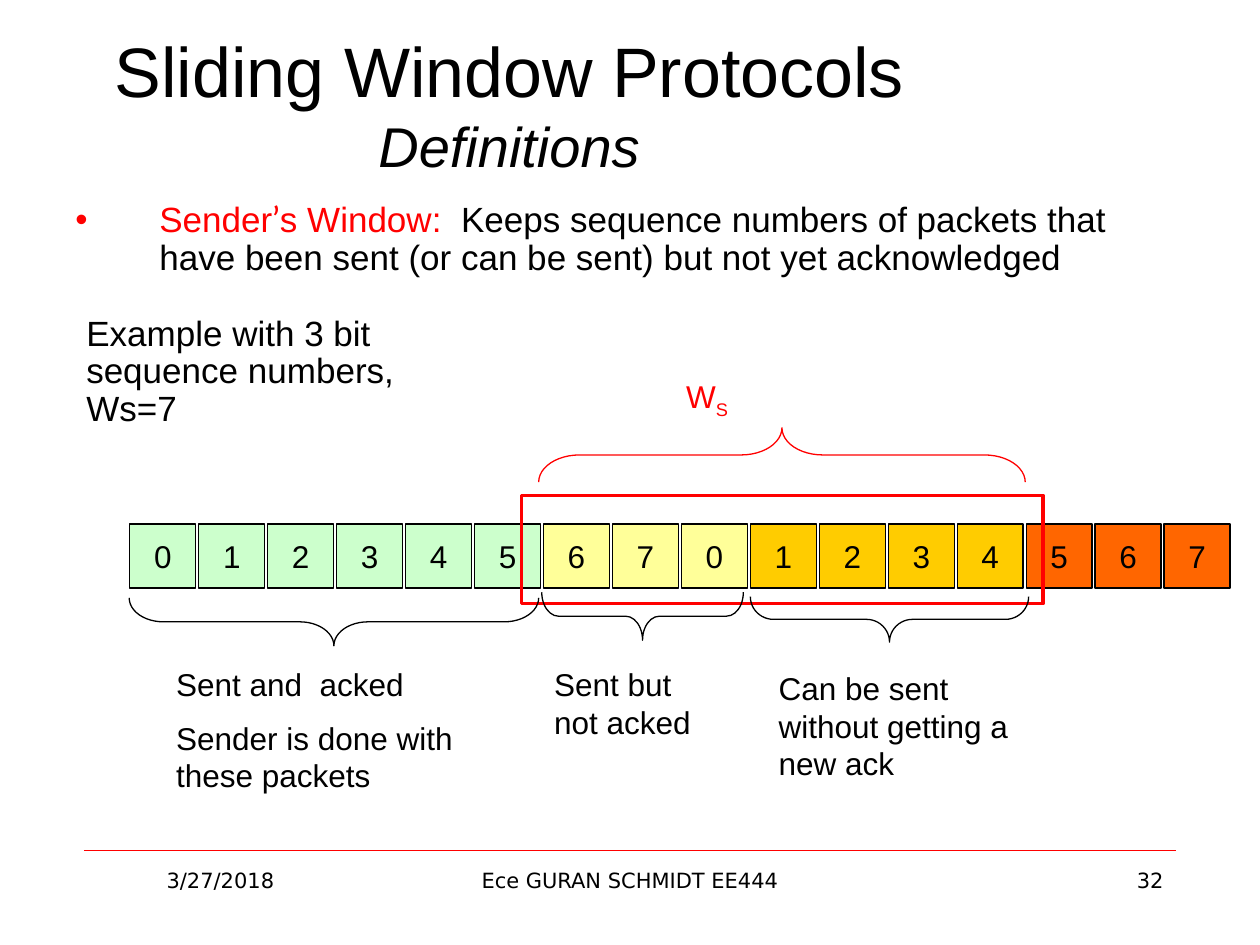
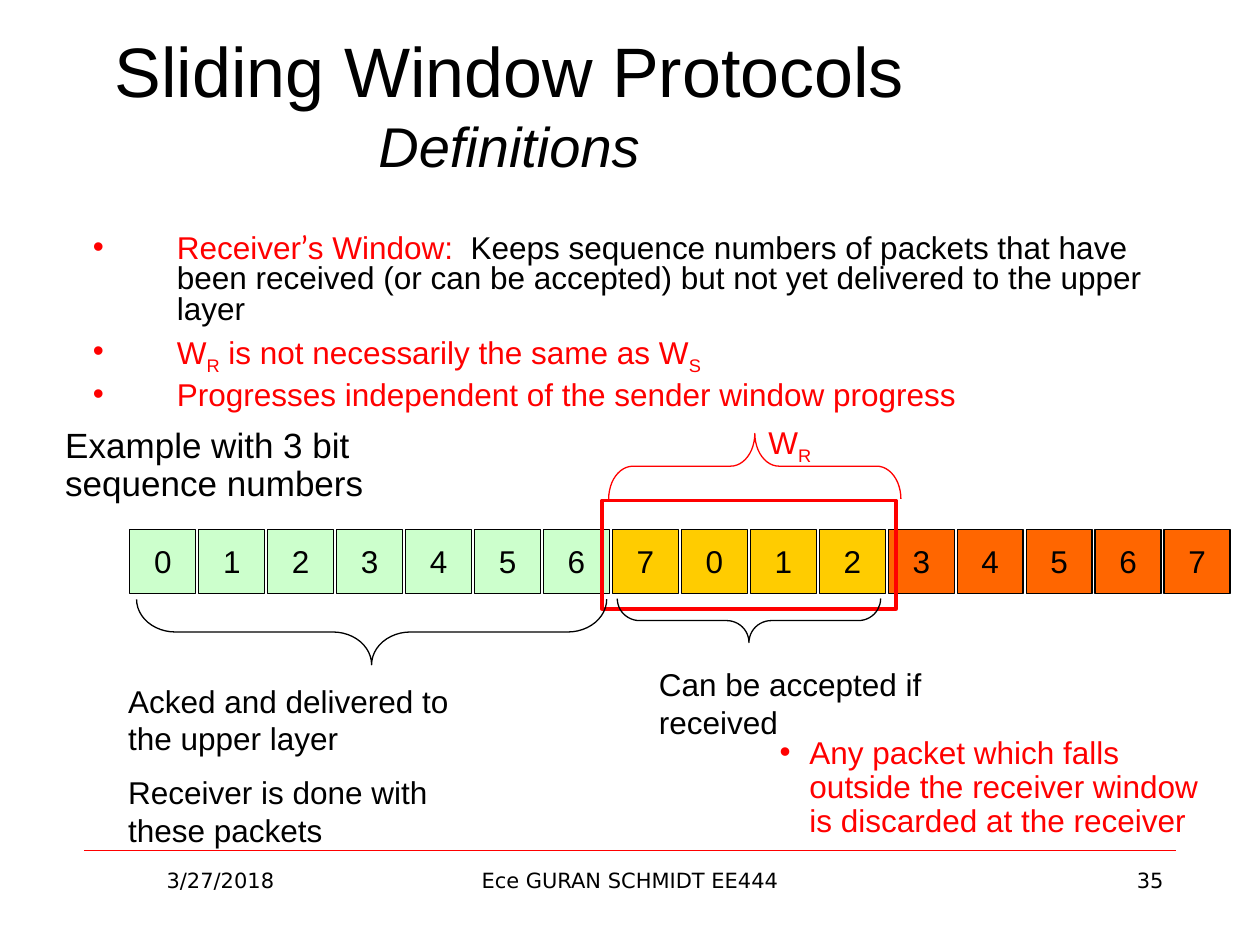
from dataclasses import dataclass
from lxml.etree import SubElement as Sub
from pptx import Presentation
from pptx.dml.color import RGBColor as RGB
from pptx.enum.shapes import MSO_CONNECTOR as LINK, MSO_SHAPE as FORM
from pptx.enum.text import MSO_ANCHOR as ANCHOR, MSO_AUTO_SIZE as AUTO, PP_ALIGN as ALIGN
from pptx.oxml.ns import qn
from pptx.util import Pt


@dataclass(frozen=True)
class Theme:
    ink: str = "000000"
    red: str = "FF0000"
    green: str = "CCFFCC"
    pale: str = "FFFF99"
    gold: str = "FFCC00"
    rust: str = "FF6600"
    font: str = "Arial"
    quote: str = "Lato"
    foot: str = "DejaVu Sans"
    head: int = 40
    sub: int = 32
    lead: int = 20
    body: int = 18
    small: int = 12


T = Theme()


def write(page, box, paras, size=T.body, font=T.font, align=ALIGN.LEFT, gap=9, hang=0, rows=()):
    frame = page.shapes.add_textbox(*map(Pt, box)).text_frame
    frame.word_wrap = True
    for i, runs in enumerate(paras):
        para = frame.add_paragraph() if i else frame.paragraphs[0]
        para.alignment = align
        if rows:
            para.line_spacing = rows[i]
        para.space_before = Pt(gap if i else 0)
        if hang:
            props = para._p.get_or_add_pPr()
            props.set("marL", str(Pt(hang)))
            props.set("indent", str(-Pt(hang)))
            tint = Sub(props, qn("a:buClr"))
            Sub(tint, qn("a:srgbClr"), val=T.red)
            Sub(props, qn("a:buFont"), typeface=T.font)
            Sub(props, qn("a:buChar"), char="•")
        for text, color, *low in runs:
            run = para.add_run()
            run.text = text
            run.font.size = Pt(size)
            run.font.name = T.quote if text == "’" else font
            run.font.color.rgb = RGB.from_string(color)
            if low:
                run.font._element.set("baseline", "-25000")


def draw(page, form, box, line, width=0.75, fill=None):
    shape = page.shapes.add_shape(form, *map(Pt, box))
    shape.shadow.inherit = False
    shape.line.color.rgb = RGB.from_string(line)
    shape.line.width = Pt(width)
    if fill:
        shape.fill.solid()
        shape.fill.fore_color.rgb = RGB.from_string(fill)
    else:
        shape.fill.background()
    return shape


pages = [
    dict(
        num="32", top=299.5, frame=(298, 283, 298, 62),
        fills=[T.green] * 6 + [T.pale] * 3 + [T.gold] * 4 + [T.rust] * 3,
        braces=[
            (190.8, 355.3, 234, 27.4, 0.713, T.ink),
            (367.2, 352.1, 115.2, 27.4, 0.351, T.ink),
            (508.3, 353.9, 159, 26, 0.507, T.ink),
            (446.8, 260, 278, 31, 0.753, T.red),
        ],
        texts=[
            dict(box=(36, 112.3, 648, 92), size=T.lead, hang=48, rows=[0.9], paras=[
                [("Sender", T.red), ("’", T.red), ("s Window:", T.red),
                 ("  Keeps sequence numbers of packets that have been sent "
                  "(or can be sent) but not yet acknowledged", T.ink)]]),
            dict(box=(42.2, 177, 209, 42), size=T.lead, rows=[0.9], paras=[
                [("Example with 3 bit sequence numbers, Ws=7", T.ink)]]),
            dict(box=(385, 211.7, 170, 29), paras=[[("W", T.red), ("S", T.red, "low")]]),
            dict(box=(93.6, 376.5, 199, 83), paras=[
                [("Sent and  acked", T.ink)],
                [("Sender is done with these packets", T.ink)]]),
            dict(box=(309.6, 376.5, 107, 50), paras=[[("Sent but not acked", T.ink)]]),
            dict(box=(437.8, 378.7, 170, 72), paras=[
                [("Can be sent without getting a new ack", T.ink)]]),
        ],
    ),
    dict(
        num="35", top=302.5, frame=(344, 286, 168, 62),
        fills=[T.green] * 7 + [T.gold] * 4 + [T.rust] * 5,
        braces=[
            (212.4, 361.1, 268.6, 37.4, 0.595, T.ink),
            (428, 354.6, 150.5, 25.2, 0.505, T.ink),
            (431.3, 266.4, 167, 37.4, 0.37, T.red),
        ],
        texts=[
            dict(box=(46, 131, 648, 123), gap=4, hang=48, rows=[0.8, 0.9, 0.9], paras=[
                [("Receiver", T.red), ("’", T.red), ("s Window:", T.red),
                 ("  Keeps sequence numbers of packets that have been received "
                  "(or can be accepted) but not yet delivered to the upper layer", T.ink)],
                [("W", T.red), ("R", T.red, "low"),
                 (" is not necessarily the same as W", T.red), ("S", T.red, "low")],
                [("Progresses independent of the sender window progress", T.red)]]),
            dict(box=(30.2, 241.2, 209, 42), size=T.lead, rows=[0.9], paras=[
                [("Example with 3 bit sequence numbers", T.ink)]]),
            dict(box=(432, 238.3, 170, 29), paras=[[("W", T.red), ("R", T.red, "low")]]),
            dict(box=(66.2, 386, 199, 104), paras=[
                [("Acked and delivered to the upper layer", T.ink)],
                [("Receiver is done with these packets", T.ink)]]),
            dict(box=(369.4, 376.5, 170, 50), paras=[
                [("Can be accepted if received", T.ink)]]),
            dict(box=(438.5, 417.6, 260, 66), hang=17, rows=[0.9], paras=[
                [("Any packet which falls outside the receiver window "
                  "is discarded at the receiver", T.red)]]),
        ],
    ),
]

deck = Presentation()
deck.slide_width, deck.slide_height = Pt(720), Pt(540)

for data in pages:
    page = deck.slides.add_slide(deck.slide_layouts[5])

    rule = page.shapes.add_connector(LINK.STRAIGHT, Pt(48), Pt(486), Pt(672), Pt(486))
    rule.line.color.rgb = RGB.from_string(T.red)
    rule.line.width = Pt(0.25)
    Sub(rule._element.spPr, qn("a:effectLst"))

    for left, width, text, align in [
        (48, 156, "3/27/2018", ALIGN.CENTER),
        (246, 228, "Ece GURAN SCHMIDT EE444", ALIGN.CENTER),
        (516, 156, data["num"], ALIGN.RIGHT),
    ]:
        write(page, (left, 492, width, 37), [[(text, T.ink)]], T.small, T.foot, align)

    title = page.shapes.title
    title.left, title.top, title.width, title.height = map(Pt, (33, 34, 516, 72))
    frame = title.text_frame
    frame.text = "Sliding Window Protocols\vDefinitions"
    frame.auto_size = AUTO.NONE
    frame.vertical_anchor = ANCHOR.BOTTOM
    para = frame.paragraphs[0]
    para.alignment = ALIGN.CENTER
    for run, size in zip(para.runs, (T.head, T.sub)):
        run.font.size = Pt(size)
        run.font.name = T.font
        run.font.italic = size == T.sub
        run.font.color.rgb = RGB.from_string(T.ink)

    for i, fill in enumerate(data["fills"]):
        cell = draw(page, FORM.RECTANGLE, (74.2 + 39.4 * i, data["top"], 37.7, 36.5), T.ink, fill=fill)
        frame = cell.text_frame
        frame.word_wrap = False
        frame.vertical_anchor = ANCHOR.MIDDLE
        para = frame.paragraphs[0]
        para.text = str(i % 8)
        para.alignment = ALIGN.CENTER
        font = para.runs[0].font
        font.size = Pt(T.body)
        font.name = T.font
        font.color.rgb = RGB.from_string(T.ink)

    draw(page, FORM.RECTANGLE, data["frame"], T.red, 2)

    for x, y, span, depth, bend, color in data["braces"]:
        brace = draw(page, FORM.LEFT_BRACE, (x - depth / 2, y - span / 2, depth, span), color)
        brace.rotation = 90 if color == T.red else 270
        brace.adjustments[0] = bend

    for text in data["texts"]:
        write(page, **text)

deck.save("out.pptx")
